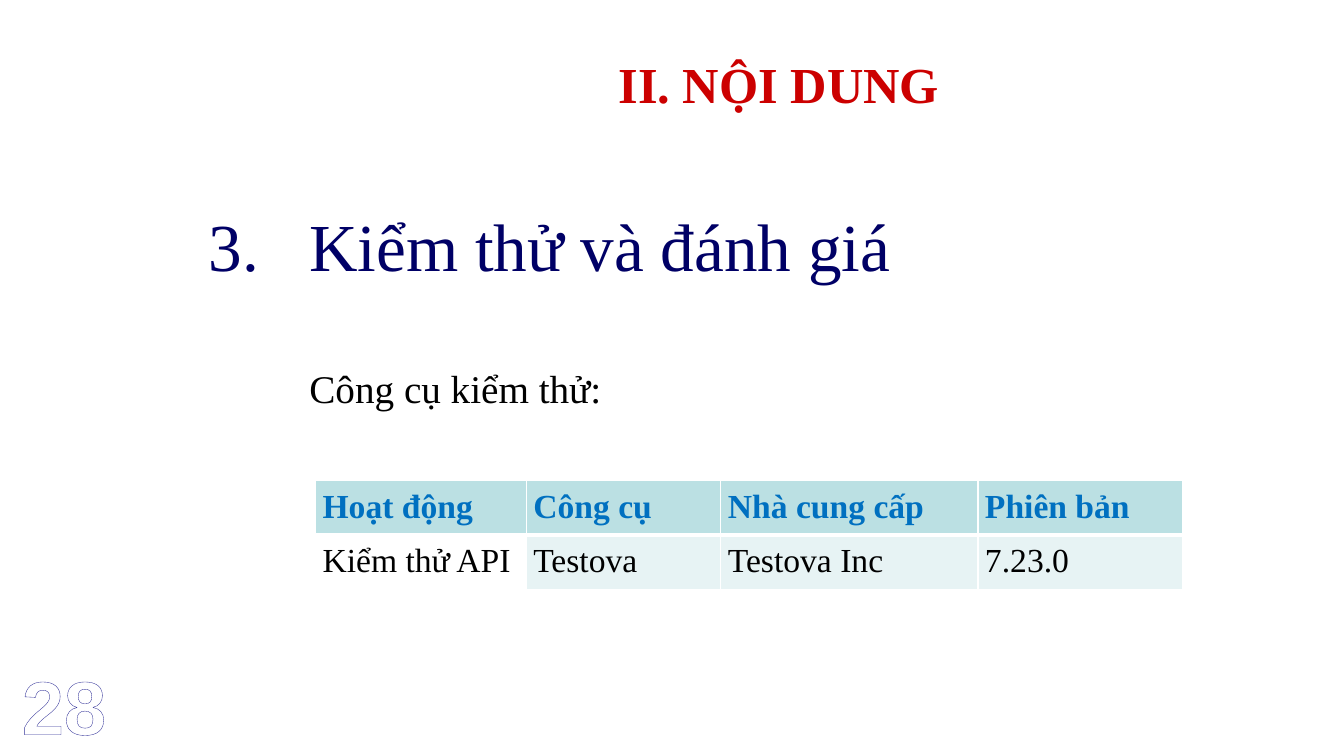
from pptx import Presentation, util as u
from pptx.dml.color import RGBColor
from pptx.enum import text as t
from pptx.oxml import parse_xml
from pptx.oxml.ns import nsdecls

RED = RGBColor(0xCC, 0x00, 0x00)
NAVY = RGBColor(0x00, 0x00, 0x66)
BLUE = RGBColor(0x00, 0x70, 0xC0)
BLACK = RGBColor(0x00, 0x00, 0x00)
WHITE = RGBColor(0xFF, 0xFF, 0xFF)
TEAL = RGBColor(0xBB, 0xE0, 0xE3)
PALE = RGBColor(0xE7, 0xF3, 0xF4)
SERIF = "Times New Roman"


def add_box(left, top, width, height):
    box = slide.shapes.add_textbox(*map(u.Inches, (left, top, width, height)))
    box.text_frame.word_wrap = True
    return box.text_frame


def style(para, words, size, color, bold=False, face=SERIF):
    para.text = words
    font = para.font
    font.name, font.size, font.bold = face, u.Pt(size), bold
    font.color.rgb = color


prs = Presentation()
prs.slide_width, prs.slide_height = u.Inches(13.33), u.Inches(7.5)
slide = prs.slides.add_slide(prs.slide_layouts[6])

title = add_box(2.56, 0.31, 10.33, 1.03)
title.vertical_anchor = t.MSO_ANCHOR.MIDDLE
style(title.paragraphs[0], "II. NỘI DUNG", 36, RED, True)
title.paragraphs[0].alignment = t.PP_ALIGN.CENTER

body = add_box(1.97, 1.98, 10.92, 4.78)
head = body.paragraphs[0]
head.space_before = u.Pt(6)
style(head, "Kiểm thử và đánh giá", 48, NAVY)
props = head._p.get_or_add_pPr()
props.set("marL", str(u.Inches(1)))
props.set("indent", str(u.Inches(-1)))
props.find("{*}defRPr").addprevious(parse_xml(
    f'<a:buAutoNum {nsdecls("a")} type="arabicPeriod" startAt="3"/>'))

note = body.add_paragraph()
note.line_spacing = 1.5
note.space_before = u.Pt(40)
style(note, "Công cụ kiểm thử:", 28, BLACK)
note._p.get_or_add_pPr().set("marL", str(u.Inches(1)))

rows = [
    ["Hoạt động", "Công cụ", "Nhà cung cấp", "Phiên bản"],
    ["Kiểm thử API", "Testova", "Testova Inc", "7.23.0"],
]
frame = slide.shapes.add_table(2, 4, *map(u.Inches, (3.13, 4.77, 8.6, 1.08)))
table = frame.table
for col, width in zip(table.columns, (2.09, 1.93, 2.55, 2.03)):
    col.width = u.Inches(width)
for r, row in enumerate(rows):
    table.rows[r].height = u.Inches(0.54)
    for c, words in enumerate(row):
        cell = table.cell(r, c)
        cell.margin_left = cell.margin_right = u.Inches(0.07)
        cell.margin_top = cell.margin_bottom = 0
        para = cell.text_frame.paragraphs[0]
        para.line_spacing = 1.2
        para.space_after = u.Pt(6)
        style(para, words, 24, BLACK if r else BLUE, r == 0)
        thick = "B" if r == 0 else "T"
        for side in "LRTB":
            width = u.Pt(3 if side == thick else 1)
            cell._tc.get_or_add_tcPr().append(parse_xml(
                f'<a:ln{side} {nsdecls("a")} w="{width}"><a:solidFill>'
                f'<a:srgbClr val="{WHITE}"/></a:solidFill></a:ln{side}>'))
        if r and c == 0:
            cell.fill.background()
        else:
            cell.fill.solid()
            cell.fill.fore_color.rgb = PALE if r else TEAL

page = add_box(0, 6.49, 1.27, 1.01)
style(page.paragraphs[0], "28", 54, WHITE, True, "Arial")
page.paragraphs[0].alignment = t.PP_ALIGN.CENTER
page.paragraphs[0].runs[0]._r.get_or_add_rPr().insert(0, parse_xml(
    f'<a:ln {nsdecls("a")} w="{u.Pt(0.52)}"><a:solidFill>'
    '<a:srgbClr val="333399"/></a:solidFill></a:ln>'))

prs.save("out.pptx")
